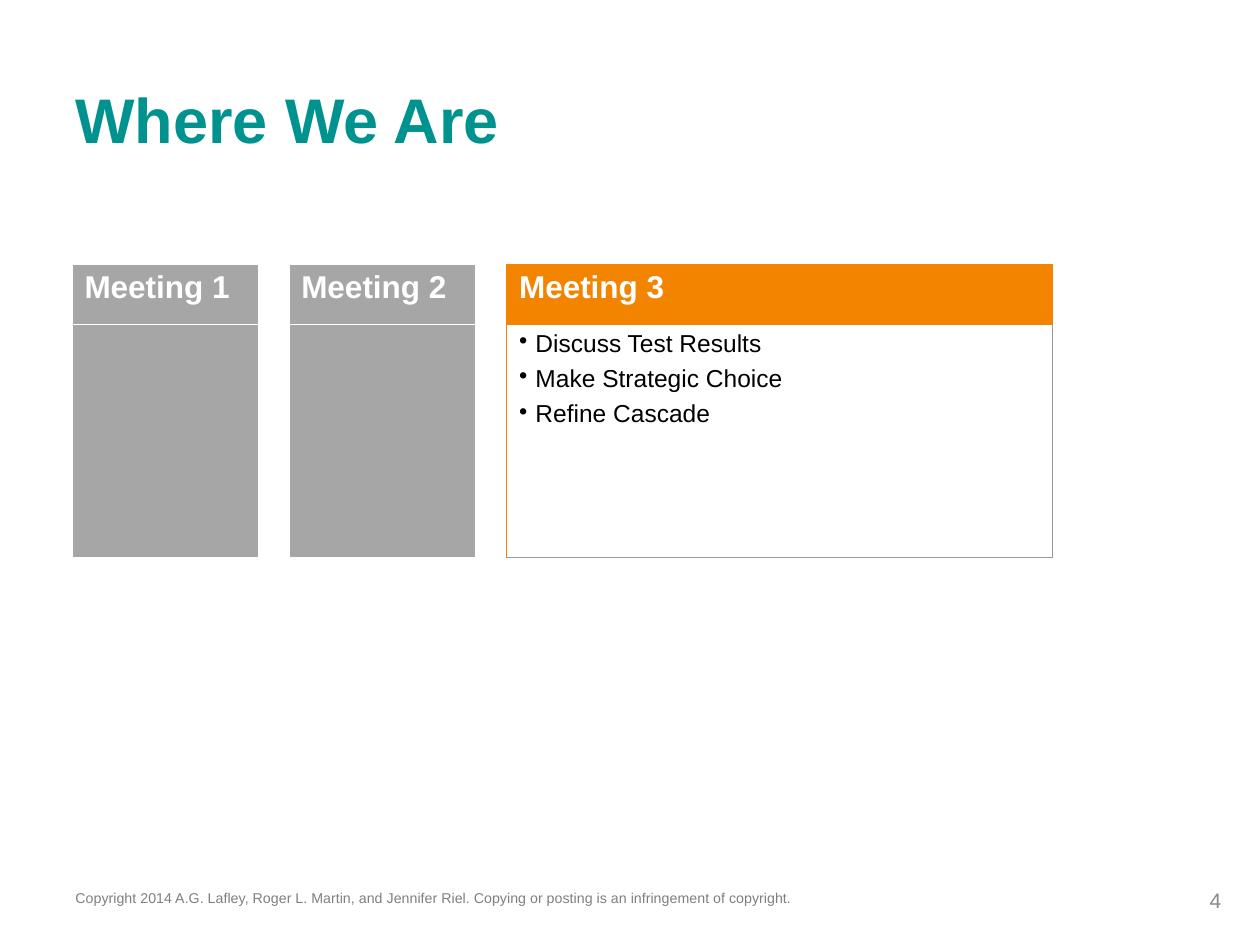
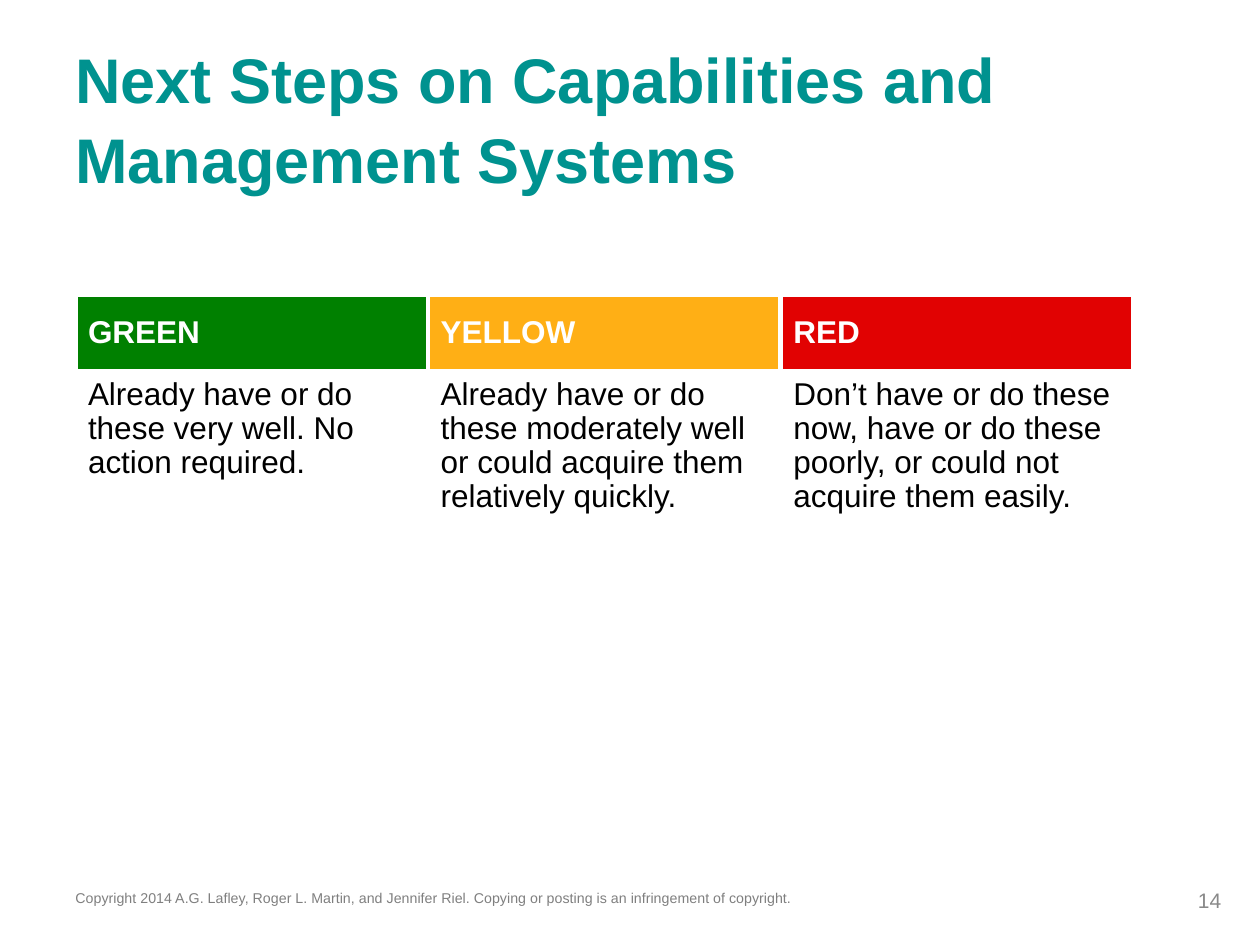
from dataclasses import dataclass

from lxml.etree import SubElement
from pptx import Presentation
from pptx.dml.color import RGBColor
from pptx.enum.text import MSO_ANCHOR, PP_ALIGN
from pptx.oxml.ns import qn
from pptx.util import Cm, Pt


@dataclass(frozen=True)
class Theme:
    """Fonts, colours and type sizes shared by the slides."""
    font: str = "Arial"
    title: str = "00928F"
    footer: str = "7F7F7F"
    number: str = "898989"
    text: str = "000000"
    white: str = "FFFFFF"
    done: str = "A6A6A6"
    rule: str = "999999"
    current: str = "F28400"
    green: str = "008000"
    yellow: str = "FFAF15"
    red: str = "E10202"
    title_size: int = 36
    head_size: int = 18
    body_size: int = 18
    list_size: int = 14
    footer_size: int = 14
    number_size: int = 12


THEME = Theme()
COPYRIGHT = ("Copyright 2014 A.G. Lafley, Roger L. Martin, and Jennifer Riel. "
             "Copying or posting is an infringement of copyright.")


def write(tf, text, *, size, color, bold=False, align=PP_ALIGN.LEFT,
          spacing=0.97, bullet=None, gap=0, raised=False):
    """Fill a text frame with one paragraph per line of text."""
    for i, line in enumerate(text.split("\n")):
        p = tf.add_paragraph() if i else tf.paragraphs[0]
        if bullet:
            pPr = p._p.get_or_add_pPr()
            pPr.set("marL", str(Cm(0.33)))
            pPr.set("indent", str(-Cm(0.33)))
            SubElement(pPr, qn("a:buChar"), char=bullet)
        p.alignment = align
        p.line_spacing = spacing
        if i and gap:
            p.space_before = Pt(gap)
        r = p.add_run()
        r.text = line
        r.font.name = THEME.font
        r.font.size = Pt(size)
        r.font.bold = bold
        r.font.color.rgb = RGBColor.from_string(color)
        if raised:
            r.font._element.set("baseline", "30000")


def border(cell, side, color, width):
    """Draw one edge of a table cell."""
    ln = SubElement(cell._tc.get_or_add_tcPr(), qn(f"a:ln{side}"),
                    w=str(Pt(width)))
    fill = SubElement(ln, qn("a:solidFill"))
    SubElement(fill, qn("a:srgbClr"), val=color)


class Deck:
    """Holds the style and the current slide."""

    def __init__(self, theme):
        """Start an empty 4:3 presentation."""
        self.theme = theme
        self.prs = Presentation()
        self.prs.slide_width, self.prs.slide_height = Cm(25.4), Cm(19.05)
        self.s = None

    def box(self, text, left, top, width, height,
            anchor=MSO_ANCHOR.TOP, **style):
        """Add a wrapped text box."""
        sp = self.s.shapes.add_textbox(Cm(left), Cm(top), Cm(width), Cm(height))
        tf = sp.text_frame
        tf.word_wrap = True
        tf.vertical_anchor = anchor
        write(tf, text, **style)

    def slide(self, title, number):
        """Add a slide with its title, copyright line and page number."""
        t = self.theme
        self.s = self.prs.slides.add_slide(self.prs.slide_layouts[6])
        self.box(COPYRIGHT, 1.27, 17.78, 18.72, 0.86, size=t.footer_size,
                 color=t.footer, raised=True)
        self.box(title, 1.27, 0.76, 21.16, 3.18, MSO_ANCHOR.MIDDLE,
                 size=t.title_size, color=t.title, bold=True, spacing=1.05)
        self.box(str(number), 18.95, 17.65, 5.92, 1.02, MSO_ANCHOR.MIDDLE,
                 size=t.number_size, color=t.number, align=PP_ALIGN.RIGHT)

    def table(self, left, top, widths, heights, texts, fills, edge,
              head_anchor, **body_style):
        """Add a table; edge(side, row, column) gives a colour and a width."""
        t = self.theme
        table = self.s.shapes.add_table(
            len(heights), len(widths), Cm(left), Cm(top),
            Cm(sum(widths)), Cm(sum(heights))).table
        table.first_row = table.horz_banding = False
        for column, width in zip(table.columns, widths):
            column.width = Cm(width)
        for row, height in zip(table.rows, heights):
            row.height = Cm(height)
        head_style = dict(size=t.head_size, color=t.white, bold=True)
        for i, row in enumerate(table.rows):
            for j, cell in enumerate(row.cells):
                for side in "LRTB":
                    border(cell, side, *edge(side, i, j))
                if fills[i][j]:
                    cell.fill.solid()
                    cell.fill.fore_color.rgb = RGBColor.from_string(fills[i][j])
                else:
                    cell.fill.background()
                cell.vertical_anchor = MSO_ANCHOR.TOP if i else head_anchor
                if texts[i][j]:
                    write(cell.text_frame, texts[i][j],
                          **(body_style if i else head_style))


def meeting_edge(side, row, column):
    """Frame the current meeting and keep every other edge white."""
    orange, grey = (THEME.current, 1.08), (THEME.rule, 0.45)
    if side in "LR":
        line = column + (side == "R")
        if line == 4:
            return orange
        if line == 5:
            return grey if row else orange
    elif column == 4:
        return grey if row and side == "B" else orange
    return THEME.white, 1.08


def where_we_are(deck):
    """Build the meeting overview."""
    t = deck.theme
    deck.slide("Where We Are", 4)
    gap = 0.61
    agenda = "Discuss Test Results\nMake Strategic Choice\nRefine Cascade"
    deck.table(
        1.45, 5.33, [3.76, gap, 3.78, gap, 11, gap], [1.21, 4.7],
        texts=[["Meeting 1", "", "Meeting 2", "", "Meeting 3", ""],
               ["", "", "", "", agenda, ""]],
        fills=[[t.done, t.white, t.done, None, t.current, t.white],
               [t.done, t.white, t.done, None, t.white, t.white]],
        edge=meeting_edge, head_anchor=MSO_ANCHOR.TOP,
        size=t.list_size, color=t.text, bullet="•", gap=5)


def next_steps(deck):
    """Build the traffic-light table."""
    t = deck.theme
    deck.slide("Next Steps on Capabilities and Management Systems", 14)
    deck.table(
        1.52, 5.94, [7.11] * 3, [1.55, 5.44],
        texts=[["GREEN", "YELLOW", "RED"],
               ["Already have or do these very well. No action required.",
                "Already have or do these moderately well or could acquire "
                "them relatively quickly.",
                "Don’t have or do these now, have or do these poorly, or "
                "could not acquire them easily."]],
        fills=[[t.green, t.yellow, t.red], [None] * 3],
        edge=lambda side, row, column: (t.white, 3),
        head_anchor=MSO_ANCHOR.MIDDLE, size=t.body_size, color=t.text)


def main():
    """Build and save the deck."""
    deck = Deck(THEME)
    where_we_are(deck)
    next_steps(deck)
    deck.prs.save("out.pptx")


if __name__ == "__main__":
    main()
